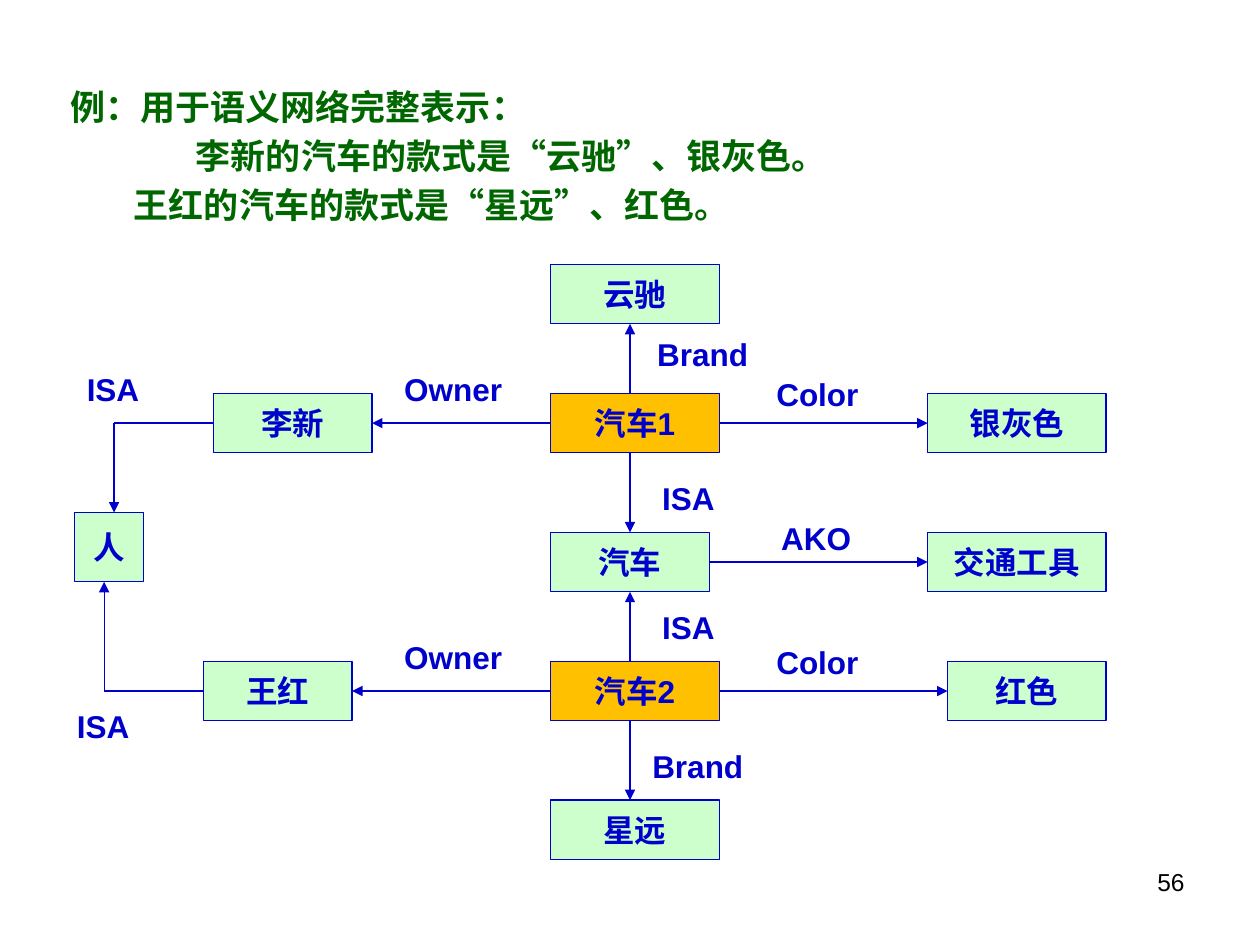
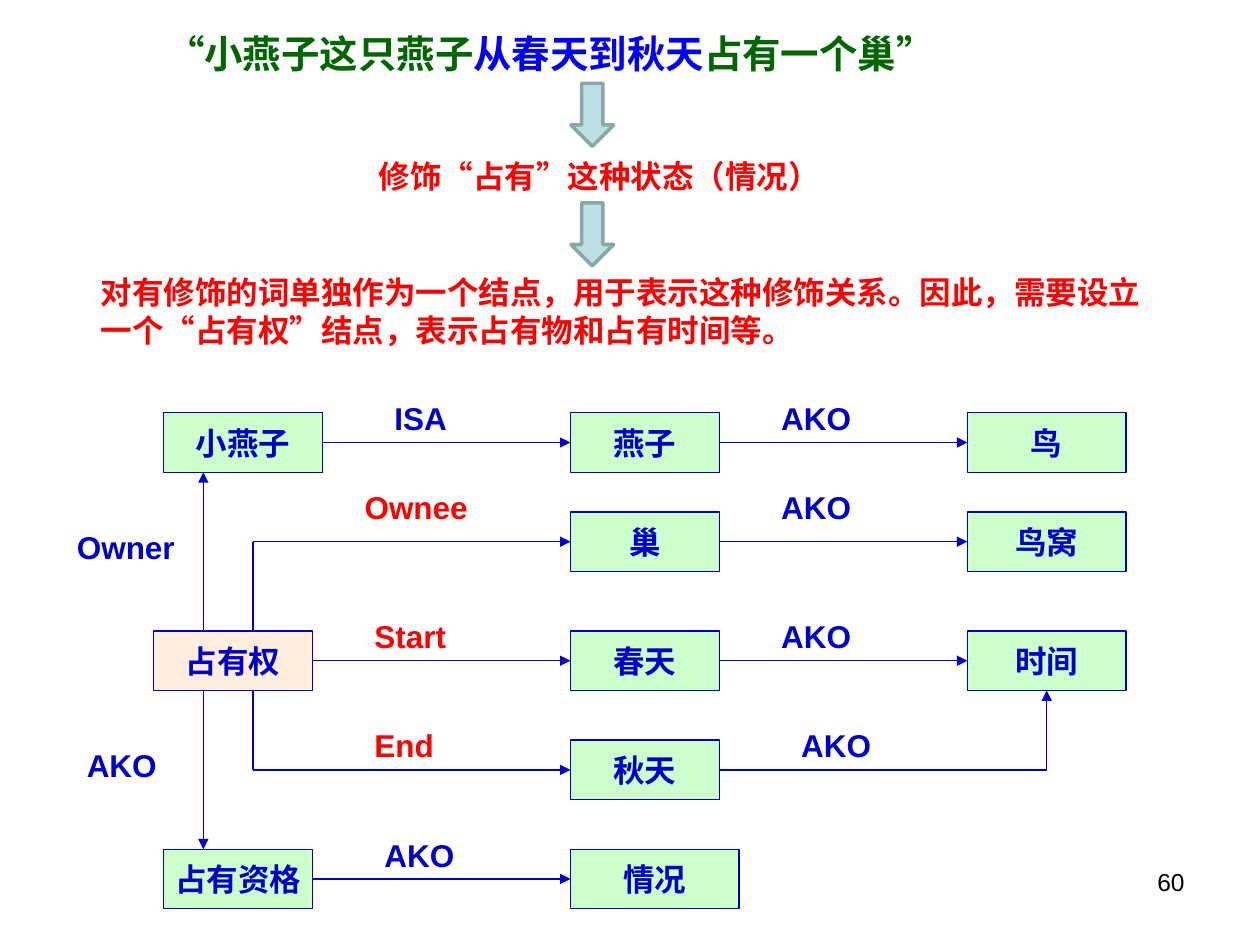
from pptx import Presentation
from pptx.dml.color import RGBColor
from pptx.enum.shapes import MSO_CONNECTOR, MSO_SHAPE
from pptx.enum.text import MSO_ANCHOR, PP_ALIGN
from pptx.oxml.ns import qn
from pptx.oxml.xmlchemy import OxmlElement
from pptx.util import Cm, Pt

BLACK = RGBColor(0x00, 0x00, 0x00)
NAVY = RGBColor(0x00, 0x00, 0xCC)
BLUE = RGBColor(0x00, 0x00, 0xFF)
RED = RGBColor(0xFF, 0x00, 0x00)
DARK_GREEN = RGBColor(0x00, 0x66, 0x00)
PALE_GREEN = RGBColor(0xCC, 0xFF, 0xCC)
ORANGE = RGBColor(0xFF, 0xC0, 0x00)
PEACH = RGBColor(0xFF, 0xEE, 0xDD)
PALE_TEAL = RGBColor(0xBB, 0xE0, 0xE3)
TEAL_GREY = RGBColor(0x8A, 0xA6, 0xA8)

LATIN, SERIF, CHINESE = "Arial", "Times New Roman", "Noto Sans CJK SC"
TOP, LEFT, BOTTOM, RIGHT = range(4)
NODE_HEIGHT = 1.2
MIDDLE = NODE_HEIGHT / 2


def style(paragraph, color, size=18, bold=True, name=LATIN):
    """Set the font of a whole paragraph."""
    font = paragraph.font
    font.size, font.bold, font.name = Pt(size), bold, name
    if color is not None:
        font.color.rgb = color


def add_text(shapes, box, text, color=NAVY, **font):
    """Add a wrapped text box with one paragraph."""
    textbox = shapes.add_textbox(*map(Cm, box))
    frame = textbox.text_frame
    frame.word_wrap = True
    paragraph = frame.paragraphs[0]
    paragraph.text = text
    style(paragraph, color, **font)
    return frame


def add_page_number(slide, number):
    """Put the slide number at the lower right."""
    frame = add_text(slide.shapes, (18.2, 17.35, 5.93, 1.32), number, BLACK, size=14, bold=False)
    frame.paragraphs[0].alignment = PP_ALIGN.RIGHT


def add_block(shapes, kind, box, fill, line, width):
    """Add a filled and outlined preset shape."""
    shape = shapes.add_shape(kind, *map(Cm, box))
    shape.shadow.inherit = False
    shape.fill.solid()
    shape.fill.fore_color.rgb = fill
    shape.line.color.rgb = line
    shape.line.width = Pt(width)
    return shape


class Network:
    """A semantic network whose parts are placed relative to its corner."""

    def __init__(self, slide, left, top):
        """Start an empty group at the given corner."""
        self.shapes = slide.shapes.add_group_shape().shapes
        self.left, self.top = left, top
        self.nodes = {}

    def node(self, text, x, y, width, fill=PALE_GREEN, height=NODE_HEIGHT):
        """Add a concept box."""
        box = (self.left + x, self.top + y, width, height)
        shape = add_block(self.shapes, MSO_SHAPE.RECTANGLE, box, fill, NAVY, 0.75)
        frame = shape.text_frame
        frame.word_wrap = False
        frame.vertical_anchor = MSO_ANCHOR.MIDDLE
        paragraph = frame.paragraphs[0]
        paragraph.text = text
        paragraph.alignment = PP_ALIGN.CENTER
        style(paragraph, NAVY)
        self.nodes[text] = shape

    def link(self, start, end, arrow=True):
        """Join two ends, each a (node name, side) or a point (x, y)."""
        points = [(0, 0) if isinstance(a, str) else (Cm(self.left + a), Cm(self.top + b))
                  for a, b in (start, end)]
        line = self.shapes.add_connector(MSO_CONNECTOR.STRAIGHT, *points[0], *points[1])
        for (name, side), connect in ((start, line.begin_connect), (end, line.end_connect)):
            if isinstance(name, str):
                connect(self.nodes[name], side)
        line.line.color.rgb = NAVY
        line.line.width = Pt(0.75)
        if arrow:
            tail = OxmlElement("a:tailEnd")
            tail.set("type", "triangle")
            line.line._get_or_add_ln().append(tail)
        line._element.find(qn("p:spPr")).append(OxmlElement("a:effectLst"))

    def label(self, text, x, y, width, color=NAVY, tight=False):
        """Name a relation beside its line."""
        box = (self.left + x, self.top + y, width, 0.8 if tight else 1)
        frame = add_text(self.shapes, box, text, color)
        if tight:
            frame.margin_left = frame.margin_right = Cm(0.15)
            frame.margin_top = frame.margin_bottom = Cm(0.03)


def add_example(slide, left, top):
    """Write the three lines of the car example."""
    lines = [("例：用于语义网络完整表示：", 1.12),
             ("李新的汽车的款式是“云驰”、银灰色。", 3.65),
             ("王红的汽车的款式是“星远”、红色。", 2.4)]
    frame = add_text(slide.shapes, (left, top, 24.7, 3.4), lines[0][0], DARK_GREEN, size=20, name=SERIF)
    for text, indent in lines:
        paragraph = frame.paragraphs[0]
        if text != lines[0][0]:
            paragraph = frame.add_paragraph()
            paragraph.text = text
            paragraph.space_before = Pt(4)
            style(paragraph, DARK_GREEN, size=20, name=SERIF)
        paragraph._p.get_or_add_pPr().set("marL", str(Cm(indent)))


def add_car_network(slide, left, top):
    """Draw the network of the two cars and their owners."""
    network = Network(slide, left, top)
    car_left, trunk = 9.8, 11.4
    for text, y, width, fill in [("云驰", 0, 3.4, PALE_GREEN), ("汽车1", 2.6, 3.4, ORANGE),
                                 ("汽车", 5.4, 3.2, PALE_GREEN), ("汽车2", 8, 3.4, ORANGE),
                                 ("星远", 10.8, 3.4, PALE_GREEN)]:
        network.node(text, car_left, y, width, fill)
    for text, x, y, width in [("李新", 3, 2.6, 3.2), ("银灰色", 17.4, 2.6, 3.6),
                              ("交通工具", 17.4, 5.4, 3.6), ("王红", 2.8, 8, 3),
                              ("红色", 17.8, 8, 3.2)]:
        network.node(text, x, y, width)
    network.node("人", 0.2, 5, 1.4, height=1.4)

    for car, owner, color in [("汽车1", "李新", "银灰色"), ("汽车2", "王红", "红色")]:
        network.link((car, LEFT), (owner, RIGHT))
        network.link((car, RIGHT), (color, LEFT))
    network.link(("汽车", RIGHT), ("交通工具", LEFT))
    network.link((trunk, 2.6), (trunk, NODE_HEIGHT))
    network.link((trunk, 3.8), ("汽车", TOP))
    network.link((trunk, 8), ("汽车", BOTTOM))
    network.link((trunk, 9.2), (trunk, 10.8))
    for owner, x, y, person_edge in [("李新", 1, 3.2, 5), ("王红", 0.8, 8.6, 6.4)]:
        network.link((owner, LEFT), (x, y), arrow=False)
        network.link((x, y), (x, person_edge))

    for text, x, y, width in [("Owner", 6.6, 2, 2.8), ("ISA", 11.8, 4.2, 1.6),
                              ("ISA", 11.8, 6.8, 2), ("AKO", 14.2, 5, 2.2),
                              ("Owner", 6.6, 7.4, 2.6), ("Brand", 11.6, 9.6, 3),
                              ("ISA", 0.2, 2, 1.8), ("ISA", 0, 8.8, 2)]:
        network.label(text, x, y, width)
    for text, x, y, width in [("Brand", 11.8, 1.4, 2.8), ("Color", 14.2, 2.2, 2),
                              ("Color", 14.2, 7.6, 2.8)]:
        network.label(text, x, y, width, tight=True)


def add_reasoning(slide, left, top):
    """Lead from the sentence by arrows to the conclusion."""
    shapes = slide.shapes
    frame = add_text(shapes, (left + 1.32, top, 18.54, 1.24), "", None, size=22, name=CHINESE)
    sentence = frame.paragraphs[0]
    sentence.line_spacing = 1.05
    for text, color in [("“小燕子这只燕子", DARK_GREEN), ("从春天到秋天", BLUE), ("占有一个巢”", DARK_GREEN)]:
        run = sentence.add_run()
        run.text = text
        run.font.color.rgb = color
    add_text(shapes, (left + 5.61, top + 2.62, 10.11, 1.02), "修饰“占有”这种状态（情况）", RED)
    add_text(shapes, (left, top + 4.95, 22.02, 2.57),
             "对有修饰的词单独作为一个结点，用于表示这种修饰关系。因此，需要设立"
             "一个“占有权”结点，表示占有物和占有时间等。", RED)
    for y in (1.25, 3.66):
        add_block(shapes, MSO_SHAPE.DOWN_ARROW, (left + 9.73, top + y, 0.86, 1.27), PALE_TEAL, TEAL_GREY, 2)


def add_swallow_network(slide, left, top):
    """Draw the network of the swallow that owns a nest."""
    network = Network(slide, left, top)
    rows = {"燕子": 0.4, "巢": 2.4, "春天": 4.8, "秋天": 7}
    for text, y in rows.items():
        network.node(text, 10.2, y, 3)
    kinds = {"燕子": "鸟", "巢": "鸟窝", "春天": "时间"}
    for text, kind in kinds.items():
        network.node(kind, 18.2, rows[text], 3.2)
        network.link((text, RIGHT), (kind, LEFT))
    network.node("小燕子", 2, 0.4, 3.2)
    network.node("占有权", 1.8, 4.8, 3.2, PEACH)
    network.node("占有资格", 2, 9.2, 3)
    network.node("情况", 10.2, 9.2, 3.4)

    for start, end in [("小燕子", "燕子"), ("占有权", "春天"), ("占有资格", "情况")]:
        network.link((start, RIGHT), (end, LEFT))
    owner_x, branch_x, time_x = 2.8, 3.8, 19.8
    network.link((owner_x, 4.8), (owner_x, 1.6))
    network.link((owner_x, 6), (owner_x, 9.2))
    for text, edge in [("巢", 4.8), ("秋天", 6)]:
        corner = (branch_x, rows[text] + MIDDLE)
        network.link((branch_x, edge), corner, arrow=False)
        network.link(corner, (text, LEFT))
    corner = (time_x, rows["秋天"] + MIDDLE)
    network.link(("秋天", RIGHT), corner, arrow=False)
    network.link(corner, ("时间", BOTTOM))

    for text, x, y, width in [("ISA", 6.4, 0, 2), ("AKO", 14.2, 0, 2.2), ("AKO", 14.2, 1.8, 2),
                              ("AKO", 14.2, 4.4, 2), ("AKO", 14.6, 6.6, 2.2),
                              ("AKO", 6.2, 8.8, 2.2), ("Owner", 0, 2.6, 2.8), ("AKO", 0.2, 7, 2.2)]:
        network.label(text, x, y, width)
    for text, x, y, width in [("Ownee", 5.8, 1.8, 2.8), ("Start", 6, 4.4, 2.4), ("End", 6, 6.6, 1.8)]:
        network.label(text, x, y, width, RED)


def main():
    """Build both slides and save them."""
    presentation = Presentation()
    presentation.slide_width, presentation.slide_height = Cm(25.4), Cm(19.05)
    blank = presentation.slide_layouts[6]

    car_slide = presentation.slides.add_slide(blank)
    add_page_number(car_slide, "56")
    add_example(car_slide, 0.05, 1.6)
    add_car_network(car_slide, 1.3, 5.33)

    swallow_slide = presentation.slides.add_slide(blank)
    add_page_number(swallow_slide, "60")
    add_swallow_network(swallow_slide, 1.3, 7.92)
    add_reasoning(swallow_slide, 1.78, 0.43)

    presentation.save("out.pptx")


if __name__ == "__main__":
    main()
